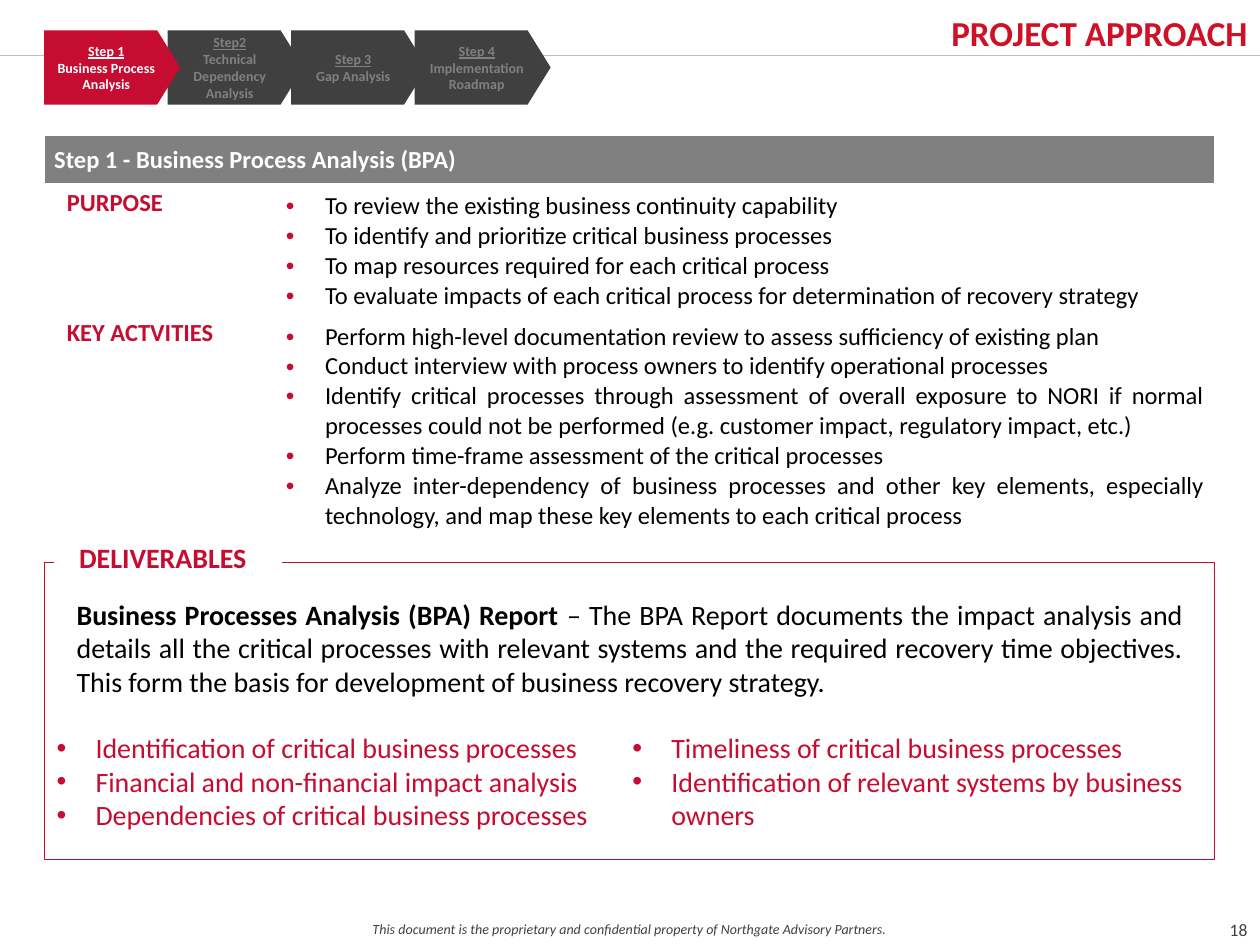
"""Build the project approach slide for step 1, business process analysis."""
from typing import NamedTuple

from lxml import etree
from pptx import Presentation, util as u
from pptx.dml.color import RGBColor
from pptx.enum import shapes, text
from pptx.oxml import ns

COLORS = {"red": "C60C30", "title": "CE1126", "dark": "404040", "gray": "808080",
          "rule": "BFBFBF", "white": "FFFFFF", "black": "000000"}
COLS, ROWS = 100, 75
SLIDE_W, SLIDE_H = u.Inches(10), u.Inches(7.5)
LEFT, WIDTH = 3.5, 92.9
ALIGN, ANCHOR = text.PP_ALIGN, text.MSO_ANCHOR


class Box(NamedTuple):
    col: float
    row: float
    cols: float
    rows: float


class Step(NamedTuple):
    label: str
    name: str
    fill: str = "dark"
    color: str = "gray"


class Section(NamedTuple):
    heading: str
    rows: float
    items: list[str]


class Run(NamedTuple):
    words: str
    bold: bool = False
    underline: bool = False


STEPS = [
    Step("Step 1", "Business Process Analysis", "red", "white"),
    Step("Step2", "Technical Dependency Analysis"),
    Step("Step 3", "Gap Analysis"),
    Step("Step 4", "Implementation Roadmap"),
]
SECTIONS = [
    Section("PURPOSE", 10.3, [
        "To review the existing business continuity capability",
        "To identify and prioritize critical business processes",
        "To map resources required for each critical process",
        "To evaluate impacts of each critical process for determination of recovery strategy",
    ]),
    Section("KEY ACTVITIES", 17.2, [
        "Perform high-level documentation review to assess sufficiency of existing plan",
        "Conduct interview with process owners to identify operational processes",
        "Identify critical processes through assessment of overall exposure to NORI if normal "
        "processes could not be performed (e.g. customer impact, regulatory impact, etc.)",
        "Perform time-frame assessment of the critical processes",
        "Analyze inter-dependency of business processes and other key elements, especially "
        "technology, and map these key elements to each critical process",
    ]),
]
OUTCOMES = [
    (3.5, ["Identification of critical business processes",
           "Financial and non-financial impact analysis",
           "Dependencies of critical business processes"]),
    (49.2, ["Timeliness of critical business processes",
            "Identification of relevant systems by business owners"]),
]
REPORT = [[
    Run("Business Processes Analysis (BPA) Report ", bold=True),
    Run("– The BPA Report documents the impact analysis and details all the critical processes "
        "with relevant systems and the required recovery time objectives. This form the basis "
        "for development of business recovery strategy."),
]]


def rgb(name: str) -> RGBColor:
    return RGBColor.from_string(COLORS[name])


def x(cols: float) -> int:
    return round(SLIDE_W * cols / COLS)


def y(rows: float) -> int:
    return round(SLIDE_H * rows / ROWS)


def place(box: Box) -> tuple[int, int, int, int]:
    return x(box.col), y(box.row), x(box.cols), y(box.rows)


def plain(*lines: str, bold: bool = False) -> list[list[Run]]:
    return [[Run(line, bold)] for line in lines]


def write(tf, paragraphs: list[list[Run]], *, size: float, color: str, align=ALIGN.LEFT,
          italic: bool = False, bullet: str = "", indent: float = 0, leading: float = 0) -> None:
    """Fill a text frame with formatted paragraphs."""
    for i, runs in enumerate(paragraphs):
        p = tf.paragraphs[0] if i == 0 else tf.add_paragraph()
        p.alignment = align
        pPr = p._p.get_or_add_pPr()
        if bullet:
            pPr.set("marL", str(x(3.1)))
            pPr.set("indent", str(-x(3.1)))
            clr = etree.SubElement(pPr, ns.qn("a:buClr"))
            etree.SubElement(clr, ns.qn("a:srgbClr"), val=COLORS[bullet])
            etree.SubElement(pPr, ns.qn("a:buFont"), typeface="Arial")
            etree.SubElement(pPr, ns.qn("a:buChar"), char="•")
        elif indent:
            pPr.set("marL", str(x(indent)))
        if leading:
            p.line_spacing = u.Pt(leading)
        for run in runs:
            r = p.add_run()
            r.text = run.words
            r.font.name, r.font.size = "Calibri", u.Pt(size)
            r.font.bold, r.font.italic = run.bold, italic
            r.font.underline = run.underline
            r.font.color.rgb = rgb(color)


def add_text(s, box: Box, paragraphs: list[list[Run]], *, anchor=ANCHOR.TOP,
             inset: tuple[float, float] = (1, 0.5), **fmt) -> None:
    tf = s.shapes.add_textbox(*place(box)).text_frame
    tf.word_wrap, tf.vertical_anchor = True, anchor
    tf.margin_left = tf.margin_right = x(inset[0])
    tf.margin_top = tf.margin_bottom = y(inset[1])
    write(tf, paragraphs, **fmt)


def add_shape(s, kind, box: Box, *, fill: str = "", line: str = ""):
    sp = s.shapes.add_shape(kind, *place(box))
    sp.shadow.inherit = False
    if fill:
        sp.fill.solid()
        sp.fill.fore_color.rgb = rgb(fill)
    else:
        sp.fill.background()
    if line:
        sp.line.color.rgb, sp.line.width = rgb(line), u.Pt(0.25)
    else:
        sp.line.fill.background()
    return sp


def add_rule(s, row: float) -> None:
    rule = s.shapes.add_connector(shapes.MSO_CONNECTOR.STRAIGHT, 0, y(row), SLIDE_W, y(row))
    rule.line.color.rgb, rule.line.width = rgb("rule"), u.Pt(0.5)
    etree.SubElement(rule._element.spPr, ns.qn("a:effectLst"))


def add_step(s, index: int, step: Step) -> None:
    box = Box(LEFT + 9.8 * index, 2.4, 10.8, 5.9)
    sp = add_shape(s, shapes.MSO_SHAPE.PENTAGON, box, fill=step.fill)
    sp.adjustments[0] = 0.31
    tf = sp.text_frame
    tf.word_wrap, tf.vertical_anchor = True, ANCHOR.MIDDLE
    tf.margin_left = tf.margin_right = x(0.9)
    write(tf, [[Run(step.label, True, True)], [Run(step.name, True)]],
          size=8, color=step.color, align=ALIGN.CENTER)


def style_cell(cell, *, fill: str = "", bottom: float = 1) -> None:
    cell.margin_left = cell.margin_right = x(0.8)
    cell.margin_top = cell.margin_bottom = y(0.5)
    tcPr = cell._tc.get_or_add_tcPr()
    for i, (side, width) in enumerate(zip("LRTB", (1, 1, 1, bottom))):
        ln = etree.Element(ns.qn(f"a:ln{side}"), w=str(u.Pt(width)))
        solid = etree.SubElement(ln, ns.qn("a:solidFill"))
        etree.SubElement(solid, ns.qn("a:srgbClr"), val=COLORS["white"])
        tcPr.insert(i, ln)
    if fill:
        cell.fill.solid()
        cell.fill.fore_color.rgb = rgb(fill)
    else:
        cell.fill.background()


def add_sections(s) -> None:
    heights = [4] + [section.rows for section in SECTIONS]
    box = Box(LEFT, 10.7, WIDTH, sum(heights))
    table = s.shapes.add_table(len(heights), 2, *place(box)).table
    table.first_row = table.horz_banding = False
    for column, width in zip(table.columns, (18.4, 74.5)):
        column.width = x(width)
    for row, height in zip(table.rows, heights):
        row.height = y(height)
    for cell in table.rows[0].cells:
        style_cell(cell, fill="gray", bottom=3)
    header = table.cell(0, 0)
    header.merge(table.cell(0, 1))
    header.vertical_anchor = ANCHOR.MIDDLE
    write(header.text_frame, plain("Step 1 - Business Process Analysis (BPA)", bold=True),
          size=14, color="white")
    for i, section in enumerate(SECTIONS, 1):
        heading, body = table.cell(i, 0), table.cell(i, 1)
        style_cell(heading)
        style_cell(body, fill="white")
        write(heading.text_frame, plain(section.heading, bold=True), size=14, color="red",
              align=ALIGN.JUSTIFY, indent=1, leading=15)
        write(body.text_frame, plain(*section.items), size=14, color="black",
              align=ALIGN.JUSTIFY, bullet="red")


def add_deliverables(s) -> None:
    rect = shapes.MSO_SHAPE.RECTANGLE
    add_shape(s, rect, Box(LEFT, 44.6, WIDTH, 23.6), line="red")
    tf = add_shape(s, rect, Box(4.3, 43, 18.1, 3.2), fill="white").text_frame
    tf.vertical_anchor = ANCHOR.TOP
    write(tf, plain("DELIVERABLES", bold=True), size=16, color="red", indent=1, leading=15)
    add_text(s, Box(5.1, 46.9, 89.8, 9.1), REPORT, size=16, color="black", align=ALIGN.JUSTIFY)
    for col, items in OUTCOMES:
        add_text(s, Box(col, 57.5, 47.2, 9.1), plain(*items), size=16, color="red", bullet="red")


def main() -> None:
    prs = Presentation()
    prs.slide_width, prs.slide_height = SLIDE_W, SLIDE_H
    s = prs.slides.add_slide(prs.slide_layouts[6])
    add_text(s, Box(0, 72.6, COLS, 2.4), plain(
        "This document is the proprietary and confidential property of Northgate Advisory Partners."),
        size=8, color="dark", align=ALIGN.CENTER, italic=True)
    add_text(s, Box(96, 71.6, 4.6, 4.3), plain("18"), size=10, color="dark",
             align=ALIGN.CENTER, anchor=ANCHOR.MIDDLE)
    add_rule(s, 4.4)
    add_text(s, Box(40.1, 0.2, 59.9, 4.2), plain("PROJECT APPROACH", bold=True), size=20,
             color="title", align=ALIGN.RIGHT, inset=(1, 0.7))
    for index, step in reversed(list(enumerate(STEPS))):
        add_step(s, index, step)
    add_sections(s)
    add_deliverables(s)
    prs.save("out.pptx")


if __name__ == "__main__":
    main()
